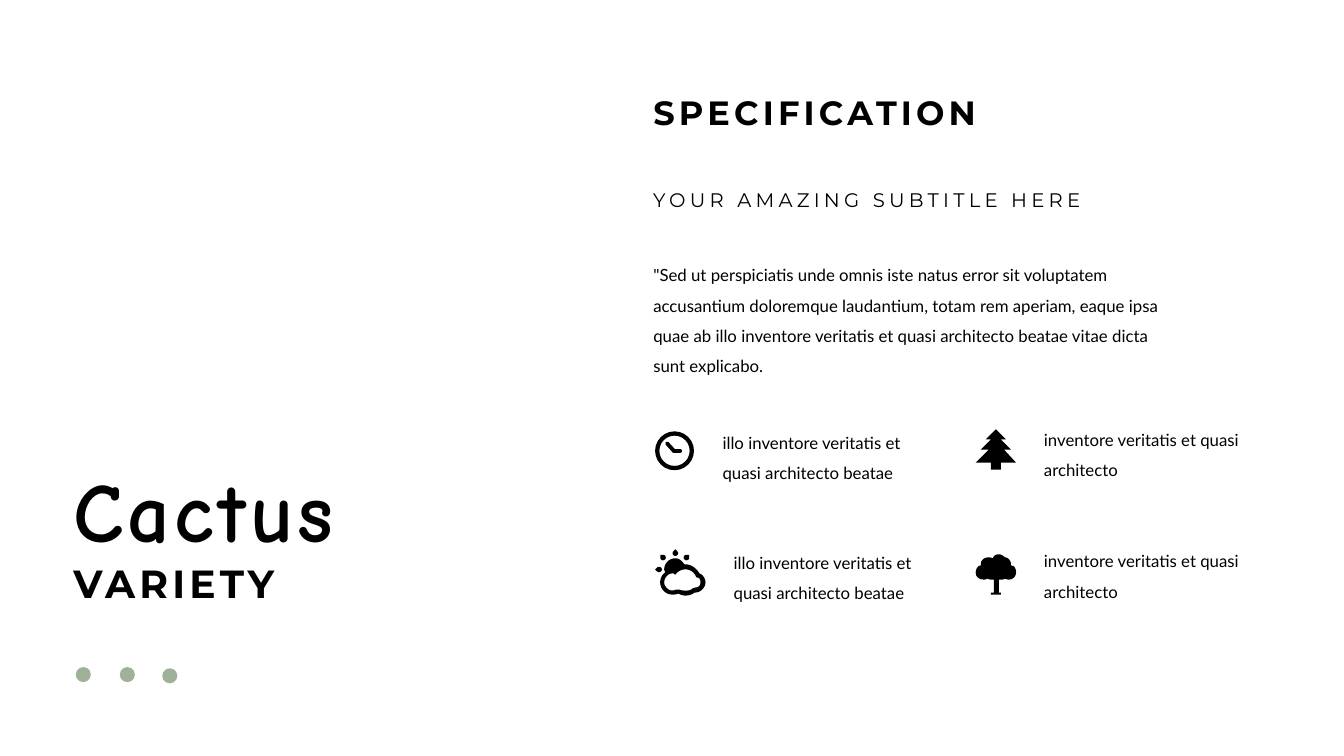
from lxml.etree import SubElement
from pptx import Presentation
from pptx.dml.color import RGBColor
from pptx.enum.shapes import MSO_CONNECTOR, MSO_SHAPE
from pptx.enum.text import MSO_ANCHOR, MSO_AUTO_SIZE, PP_ALIGN
from pptx.oxml.ns import qn
from pptx.util import Cm, Pt

ICON_UNIT = Cm(2.54) / 100
CURVE_STEPS = 8

PINE = [[(40, 33), (28, 20), (35, 20), (25, 10), (30, 10), (20, 0), (10, 10), (15, 10),
         (5, 20), (13, 20), (0, 33), (15, 33), (15, 40), (25, 40), (25, 33)]]
TREE = [[(35, 11), (35, 10), (35, 6, 32, 3, 29, 3), (27, 1, 25, 0, 23, 0),
         (20, 0, 18, 1, 17, 4), (15, 3, 14, 3, 13, 3), (8, 3, 5, 6, 5, 10), (5, 11),
         (2, 11, 0, 15, 0, 18), (0, 22, 3, 25, 8, 25), (9, 25, 10, 25, 12, 24),
         (13, 25, 14, 25, 15, 25), (18, 25), (18, 38), (15, 38), (15, 40), (25, 40),
         (25, 38), (23, 38), (23, 25), (25, 25), (27, 25, 28, 25, 29, 24),
         (30, 25, 32, 25, 33, 25), (37, 25, 40, 22, 40, 18), (40, 15, 39, 11, 35, 11)]]
CLOUD = [[(44, 24), (41, 19, 36, 15, 30, 15), (29, 15), (27, 12, 24, 9, 20, 9),
          (14, 9, 9, 14, 9, 20), (9, 21, 10, 22, 10, 23), (7, 25, 5, 29, 5, 33),
          (5, 39, 10, 45, 17, 45), (19, 45, 21, 45, 23, 44), (25, 45, 27, 46, 30, 46),
          (33, 46, 37, 45, 39, 43), (40, 43), (45, 43, 50, 38, 50, 33),
          (50, 29, 47, 25, 44, 24)],
         [(40, 38), (37, 39), (35, 41, 33, 41, 30, 41), (28, 41, 26, 41, 24, 40),
          (22, 40), (20, 40, 19, 41, 17, 41), (13, 41, 9, 37, 9, 33),
          (9, 28, 13, 24, 17, 24), (18, 24, 19, 24, 19, 25), (21, 25), (21, 24),
          (24, 21, 27, 20, 30, 20), (34, 20, 38, 22, 40, 26), (41, 28),
          (44, 28, 45, 30, 45, 33), (45, 36, 43, 38, 40, 38)]]


def color(value):
    return RGBColor.from_string(value)


def flatten(segments):
    points = [segments[0]]
    for segment in segments[1:]:
        if len(segment) == 2:
            points.append(segment)
            continue
        start, controls = points[-1], (segment[:2], segment[2:4], segment[4:])
        for step in range(1, CURVE_STEPS + 1):
            t = step / CURVE_STEPS
            weights = ((1 - t) ** 3, 3 * t * (1 - t) ** 2, 3 * t * t * (1 - t), t ** 3)
            points.append(tuple(
                sum(weight * point[axis] for weight, point in zip(weights, (start, *controls)))
                for axis in (0, 1)))
    return points


class SlideBuilder:
    ink = "000000"
    accent = "A0B19A"
    heading_font = "Montserrat"
    body_font = "Lato"
    script_font = "Comic Neue"

    def __init__(self, slide):
        self.slide = slide

    def fill_shape(self, shape, value):
        shape.shadow.inherit = False
        shape.fill.solid()
        shape.fill.fore_color.rgb = color(value)
        shape.line.fill.background()

    def text(self, box, content, styles, spacing=1.0, holder=None):
        left, top, width, height = (Cm(value) for value in box)
        shape = holder or self.slide.shapes.add_textbox(left, top, width, height)
        shape.left, shape.top, shape.width, shape.height = left, top, width, height
        frame = shape.text_frame
        frame.text = content
        frame.word_wrap = True
        frame.auto_size = MSO_AUTO_SIZE.NONE
        frame.vertical_anchor = MSO_ANCHOR.TOP
        paragraph = frame.paragraphs[0]
        if holder:
            properties = paragraph._p.get_or_add_pPr()
            properties.set("marL", "0")
            properties.set("indent", "0")
            SubElement(properties, qn("a:buNone"))
        paragraph.alignment = PP_ALIGN.LEFT
        paragraph.line_spacing = spacing
        paragraph.space_before = Pt(0)
        for run, (font, size, bold, tracking) in zip(paragraph.runs, styles):
            run.font.name = font
            run.font.size = Pt(size)
            run.font.bold = bold
            run.font.color.rgb = color(self.ink)
            if tracking:
                run._r.get_or_add_rPr().set("spc", str(tracking * 100))

    def body_text(self, box, content, holder=None):
        self.text(box, content, [(self.body_font, 12, False, 0)], 1.5, holder)

    def preset(self, kind, left, top, width, height, value, rotation=0):
        shape = self.slide.shapes.add_shape(kind, Cm(left), Cm(top), Cm(width), Cm(height))
        shape.rotation = rotation
        self.fill_shape(shape, value)
        return shape

    def outline(self, left, top, contours):
        paths = [[(round(Cm(left) + x * ICON_UNIT), round(Cm(top) + y * ICON_UNIT))
                  for x, y in flatten(contour)] for contour in contours]
        builder = self.slide.shapes.build_freeform(*paths[0][0])
        for index, points in enumerate(paths):
            if index:
                builder.move_to(*points[0])
            builder.add_line_segments(points[1:], close=True)
        self.fill_shape(builder.convert_to_shape(), self.ink)

    def hand(self, start, end):
        connector = self.slide.shapes.add_connector(
            MSO_CONNECTOR.STRAIGHT, *(Cm(value) for value in (*start, *end)))
        connector.line.color.rgb = color(self.ink)
        connector.line.width = Pt(2.75)
        connector.line._get_or_add_ln().set("cap", "rnd")
        SubElement(connector._element.spPr, qn("a:effectLst"))

    def clock(self):
        ring = self.preset(MSO_SHAPE.DONUT, 16.51, 10.87, 0.98, 0.98, self.ink)
        ring.adjustments[0] = 0.11
        pivot = (16.98, 11.36)
        for tip in ((16.81, 11.17), (17.14, 11.36)):
            self.hand(pivot, tip)

    def sunny_cloud(self):
        self.outline(16.51, 13.84, CLOUD)
        size = 0.14
        for x, y, rotation in ((17.02, 13.94, 315), (16.61, 14.35, 225),
                               (17.3, 14.05, 0), (16.71, 14.05, 270)):
            self.preset(MSO_SHAPE.TEAR, x - size / 2, y - size / 2, size, size,
                        self.ink, rotation)


def main():
    presentation = Presentation()
    presentation.slide_width = Cm(33.87)
    presentation.slide_height = Cm(19.05)
    slide = presentation.slides.add_slide(presentation.slide_layouts[1])
    page = SlideBuilder(slide)
    heading = page.heading_font

    page.text((16.21, 2.31, 12.5, 1.52), "SPECIFICATION", [(heading, 24, True, 3)], 0.9,
              slide.shapes.title)
    page.body_text(
        (16.21, 6.3, 13.79, 3.71),
        '"Sed ut perspiciatis unde omnis iste natus error sit voluptatem accusantium '
        "doloremque laudantium, totam rem aperiam, eaque ipsa quae ab illo inventore "
        "veritatis et quasi architecto beatae vitae dicta sunt explicabo.",
        slide.placeholders[1])
    page.text((16.21, 4.32, 13.18, 1.57), "YOUR AMAZING SUBTITLE HERE",
              [(heading, 14, False, 3)], 1.5)

    page.clock()
    page.outline(24.59, 10.82, PINE)
    page.sunny_cloud()
    page.outline(24.59, 13.97, TREE)

    long_label = "illo inventore veritatis et quasi architecto beatae"
    short_label = "inventore veritatis et quasi architecto"
    for left, top, width, label in ((17.96, 10.52, 5.21, long_label),
                                    (26.06, 10.44, 5.59, short_label),
                                    (18.24, 13.54, 5.21, long_label),
                                    (26.06, 13.51, 5.59, short_label)):
        page.body_text((left, top, width, 2.16), label)

    page.text((1.6, 11.43, 12.4, 4.01), "Cactus\vVARIETY",
              [(page.script_font, 60, True, 3), (heading, 28, True, 3)])
    for left, top in ((1.91, 16.81), (3.02, 16.81), (4.09, 16.84)):
        page.preset(MSO_SHAPE.OVAL, left, top, 0.38, 0.38, page.accent)

    presentation.save("out.pptx")


if __name__ == "__main__":
    main()
